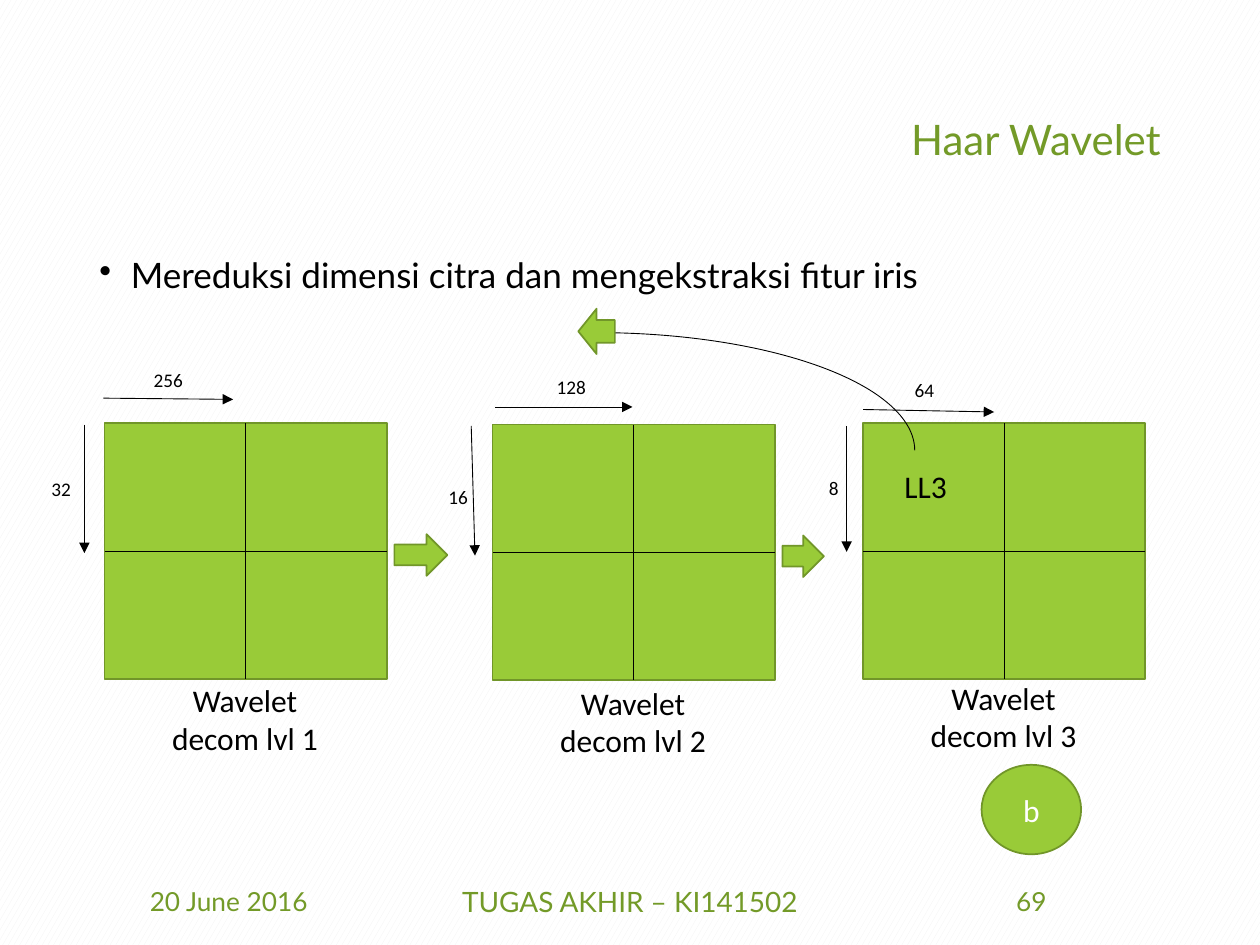
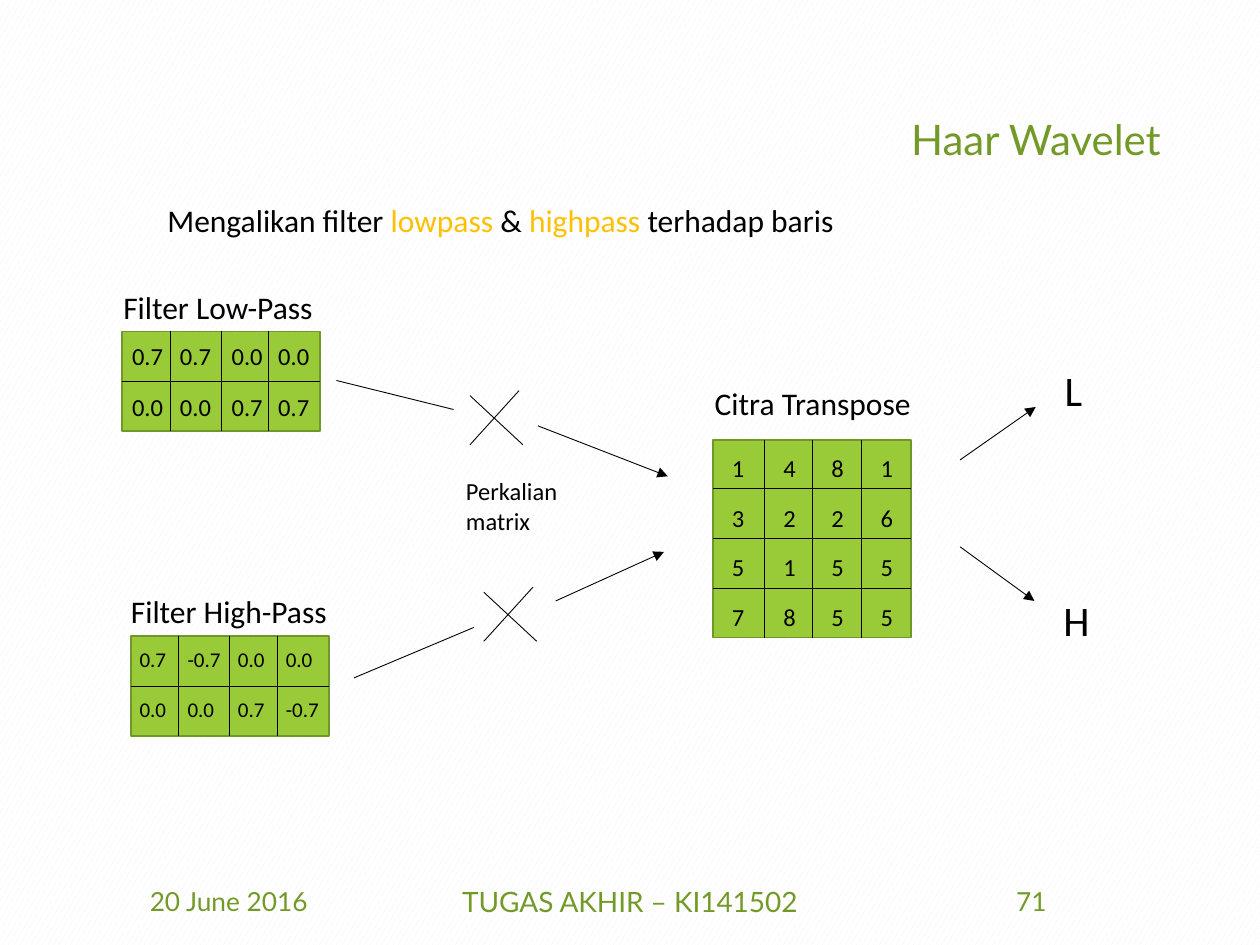
from dataclasses import dataclass
from typing import NamedTuple

from lxml import etree
from pptx import Presentation, util as u
from pptx.dml.color import RGBColor
from pptx.enum import dml, shapes, text
from pptx.oxml.ns import qn

# Shared look: 100 px to the inch
EMU_PER_PX = 9144
GREEN, EDGE, TITLE = "99CB38", "719629", "739A28"
BLACK, WHITE, PALE, ACCENT = "000000", "FFFFFF", "F2F2F2", "FFC000"
HEADING_FONT, BODY_FONT = "Lato", "Calibri"
LEFT, CENTER, RIGHT = text.PP_ALIGN.LEFT, text.PP_ALIGN.CENTER, text.PP_ALIGN.RIGHT
SHAPE = shapes.MSO_SHAPE


class Box(NamedTuple):
    left: int
    top: int
    width: int
    height: int


class Line(NamedTuple):
    x1: int
    y1: int
    x2: int
    y2: int


@dataclass
class Style:
    size: int
    color: str = BLACK
    font: str = BODY_FONT
    align: text.PP_ALIGN = LEFT
    middle: bool = False


@dataclass
class Level:
    """One decomposition step with its two measures."""
    number: int
    box: Box
    caption_top: int
    columns: str
    columns_arrow: Line
    columns_at: tuple[int, int]
    rows: str
    rows_arrow: Line
    rows_at: tuple[int, int]


@dataclass
class Matrix:
    """A titled grid; column_lefts are offsets from the left side."""
    title: str
    title_at: tuple[int, int]
    box: Box
    column_lefts: tuple[int, ...]
    values: list[str]
    inset: tuple[int, int]
    size: int = 14
    title_align: text.PP_ALIGN = LEFT


CAPTION = Style(18, align=CENTER, middle=True)
MEASURE = Style(11)
HEADER = Style(24, TITLE, HEADING_FONT, RIGHT, True)
FOOTER_SIDE = Style(15, TITLE, HEADING_FONT, CENTER, True)
FOOTER_MAIN = Style(16, TITLE, HEADING_FONT, CENTER, True)

LEVELS = [
    Level(1, Box(83, 336, 224, 203), 556, "256", Line(82, 316, 185, 317), (112, 287),
          "32", Line(67, 337, 67, 439), (31, 374)),
    Level(2, Box(391, 337, 224, 203), 558, "128", Line(393, 323, 502, 323), (432, 293),
          "16", Line(374, 338, 377, 441), (346, 380)),
    Level(3, Box(685, 336, 224, 203), 554, "64", Line(685, 325, 789, 327), (716, 295),
          "8", Line(672, 338, 672, 438), (648, 373)),
]

MATRICES = [
    Matrix("Filter Low-Pass", (88, 224), Box(97, 263, 157, 79), (0, 38, 79, 116),
           ["0.7 0.7 0.0 0.0", "0.0 0.0 0.7 0.7"], (-2, 3)),
    Matrix("Citra Transpose", (556, 300), Box(566, 349, 157, 157), (0, 41, 79, 118),
           ["1 4 8 1", "3 2 2 6", "5 1 5 5", "7 8 5 5"], (5, 6), title_align=CENTER),
    Matrix("Filter High-Pass", (94, 465), Box(104, 505, 157, 79), (0, 38, 78, 116),
           ["0.7 -0.7 0.0 0.0", "0.0 0.0 0.7 -0.7"], (-3, 3), size=12),
]


# Drawing helpers
def px(length: float) -> u.Emu:
    return u.Emu(round(length * EMU_PER_PX))


def rgb(color: str) -> RGBColor:
    return RGBColor.from_string(color)


def write(frame, content, style: Style):
    """Put one paragraph, given as a string or (string, colour) runs, in a frame."""
    frame.word_wrap = True
    frame.vertical_anchor = text.MSO_ANCHOR.MIDDLE if style.middle else text.MSO_ANCHOR.TOP
    paragraph = frame.paragraphs[0]
    paragraph.alignment = style.align
    font = paragraph.font
    font.name, font.size = style.font, u.Pt(style.size)
    font.color.rgb = rgb(style.color)
    runs = [(content, style.color)] if isinstance(content, str) else content
    for words, color in runs:
        run = paragraph.add_run()
        run.text = words
        if color != style.color:
            run.font.color.rgb = rgb(color)
    return paragraph


def add_text(slide, box: Box, content, style: Style):
    return write(slide.shapes.add_textbox(*map(px, box)).text_frame, content, style)


def add_block(slide, kind: shapes.MSO_SHAPE, box: Box):
    block = slide.shapes.add_shape(kind, *map(px, box))
    block.shadow.inherit = False
    block.fill.solid()
    block.fill.fore_color.rgb = rgb(GREEN)
    block.line.color.rgb = rgb(EDGE)
    block.line.width = u.Pt(1)
    return block


def add_line(slide, line: Line, arrow: bool = False):
    connector = slide.shapes.add_connector(shapes.MSO_CONNECTOR.STRAIGHT, *map(px, line))
    connector.line.color.rgb = rgb(BLACK)
    connector.line.width = u.Pt(0.5)
    properties = connector.element.spPr
    if arrow:
        etree.SubElement(properties.find(qn("a:ln")), qn("a:tailEnd"), type="triangle")
    etree.SubElement(properties, qn("a:effectLst"))
    return connector


def add_divider(slide, block, line: Line, sides: tuple[int, int], centred: bool) -> None:
    """Draw a grid line, joined to the block when it halves it."""
    divider = add_line(slide, line)
    if centred:
        divider.begin_connect(block, sides[0])
        divider.end_connect(block, sides[1])


def add_grid(slide, box: Box, xs: list[int], ys: list[int]) -> None:
    """Draw a block split at the inner positions xs and ys."""
    block = add_block(slide, SHAPE.RECTANGLE, box)
    right, bottom = box.left + box.width, box.top + box.height
    for y in ys:
        centred = abs(y - box.top - box.height / 2) <= 1
        add_divider(slide, block, Line(box.left, y, right, y), (1, 3), centred)
    for x in xs:
        centred = abs(x - box.left - box.width / 2) <= 1
        add_divider(slide, block, Line(x, box.top, x, bottom), (0, 2), centred)


def add_level(slide, level: Level) -> None:
    box = level.box
    add_grid(slide, box, [box.left + box.width // 2], [box.top + box.height // 2])
    add_text(slide, Box(box.left + 30, level.caption_top, 163, 29),
             f"Wavelet decom lvl {level.number}", CAPTION)
    add_line(slide, level.columns_arrow, arrow=True)
    add_text(slide, Box(*level.columns_at, 55, 29), level.columns, MEASURE)
    add_line(slide, level.rows_arrow, arrow=True)
    add_text(slide, Box(*level.rows_at, 43, 29), level.rows, MEASURE)


def add_matrix(slide, matrix: Matrix) -> None:
    box = matrix.box
    xs = [box.left + offset for offset in matrix.column_lefts]
    row_count = len(matrix.values)
    ys = [box.top + round(box.height * row / row_count) for row in range(row_count)]
    add_grid(slide, box, xs[1:], ys[1:])
    add_text(slide, Box(*matrix.title_at, 178, 40), matrix.title,
             Style(18, align=matrix.title_align))
    dx, dy = matrix.inset
    for y, row in zip(ys, matrix.values):
        for x, value in zip(xs, row.split()):
            add_text(slide, Box(x + dx, y + dy, 50, 34), value, Style(matrix.size))


def new_slide(deck, number: int):
    """Add a slide with the shared title and footers."""
    slide = deck.slides.add_slide(deck.slide_layouts[6])
    title = add_text(slide, Box(69, 40, 862, 145), "Haar Wavelet", HEADER)
    title.line_spacing = 0.9
    add_text(slide, Box(69, 695, 225, 40), "20 June 2016", FOOTER_SIDE)
    add_text(slide, Box(331, 695, 338, 40), "TUGAS AKHIR – KI141502", FOOTER_MAIN)
    add_text(slide, Box(706, 695, 225, 40), str(number), FOOTER_SIDE)
    return slide


# Slides
def decomposition_slide(deck) -> None:
    slide = new_slide(deck, 69)
    purpose = add_text(slide, Box(69, 200, 862, 476),
                       "Mereduksi dimensi citra dan mengekstraksi fitur iris",
                       Style(20, font=HEADING_FONT))
    purpose.line_spacing = 0.9
    purpose.space_before = u.Pt(10)
    properties = purpose._p.get_or_add_pPr()
    properties.set("marL", str(px(25)))
    properties.set("indent", str(px(-25)))
    bullet = etree.Element(qn("a:buChar"), char="•")
    properties.find(qn("a:defRPr")).addprevious(bullet)

    for level in LEVELS:
        add_level(slide, level)
    for step in (Box(313, 424, 42, 33), Box(621, 425, 33, 33)):
        add_block(slide, SHAPE.RIGHT_ARROW, step)

    # Result taken from the last level
    result_path = add_block(slide, SHAPE.ARC, Box(221, 264, 505, 187))
    result_path.fill.background()
    result_path.line.color.rgb = rgb(BLACK)
    result_path.line.width = u.Pt(0.5)
    add_block(slide, SHAPE.RIGHT_ARROW, Box(459, 245, 29, 36)).rotation = 180
    add_text(slide, Box(708, 366, 67, 40), "LL3", Style(18))
    marker = add_block(slide, SHAPE.OVAL, Box(779, 607, 79, 71))
    write(marker.text_frame, "b", Style(18, WHITE, align=CENTER, middle=True))


def filter_slide(deck) -> None:
    slide = new_slide(deck, 71)
    add_text(slide, Box(123, 155, 559, 40),
             [("Mengalikan filter ", BLACK), ("lowpass", ACCENT), (" & ", BLACK),
              ("highpass", ACCENT), (" terhadap baris", BLACK)], Style(18))
    for matrix in MATRICES:
        add_matrix(slide, matrix)

    # Multiplication signs
    for x, y in ((373, 310), (384, 466)):
        add_line(slide, Line(x, y + 4, x + 42, y + 43))
        add_line(slide, Line(x, y + 43, x + 39, y))
    add_text(slide, Box(360, 373, 146, 57), "Perkalian matrix", Style(14))

    # Flow from the filters to the two results
    for source in (Line(267, 302, 360, 325), Line(281, 538, 376, 498)):
        add_line(slide, source)
    for flow in (Line(427, 338, 530, 378), Line(441, 477, 527, 438),
                 Line(762, 365, 822, 323), Line(762, 434, 821, 477)):
        add_line(slide, flow, arrow=True)
    add_text(slide, Box(835, 284, 49, 50), "L", Style(24))
    add_text(slide, Box(834, 467, 49, 50), "H", Style(24))


def main() -> None:
    deck = Presentation()
    deck.slide_width, deck.slide_height = px(1000), px(750)
    backdrop = deck.slide_master.background.fill
    backdrop.patterned()
    backdrop.pattern = dml.MSO_PATTERN.LARGE_CONFETTI
    backdrop.fore_color.rgb = rgb(PALE)
    backdrop.back_color.rgb = rgb(WHITE)
    decomposition_slide(deck)
    filter_slide(deck)
    deck.save("out.pptx")


if __name__ == "__main__":
    main()
